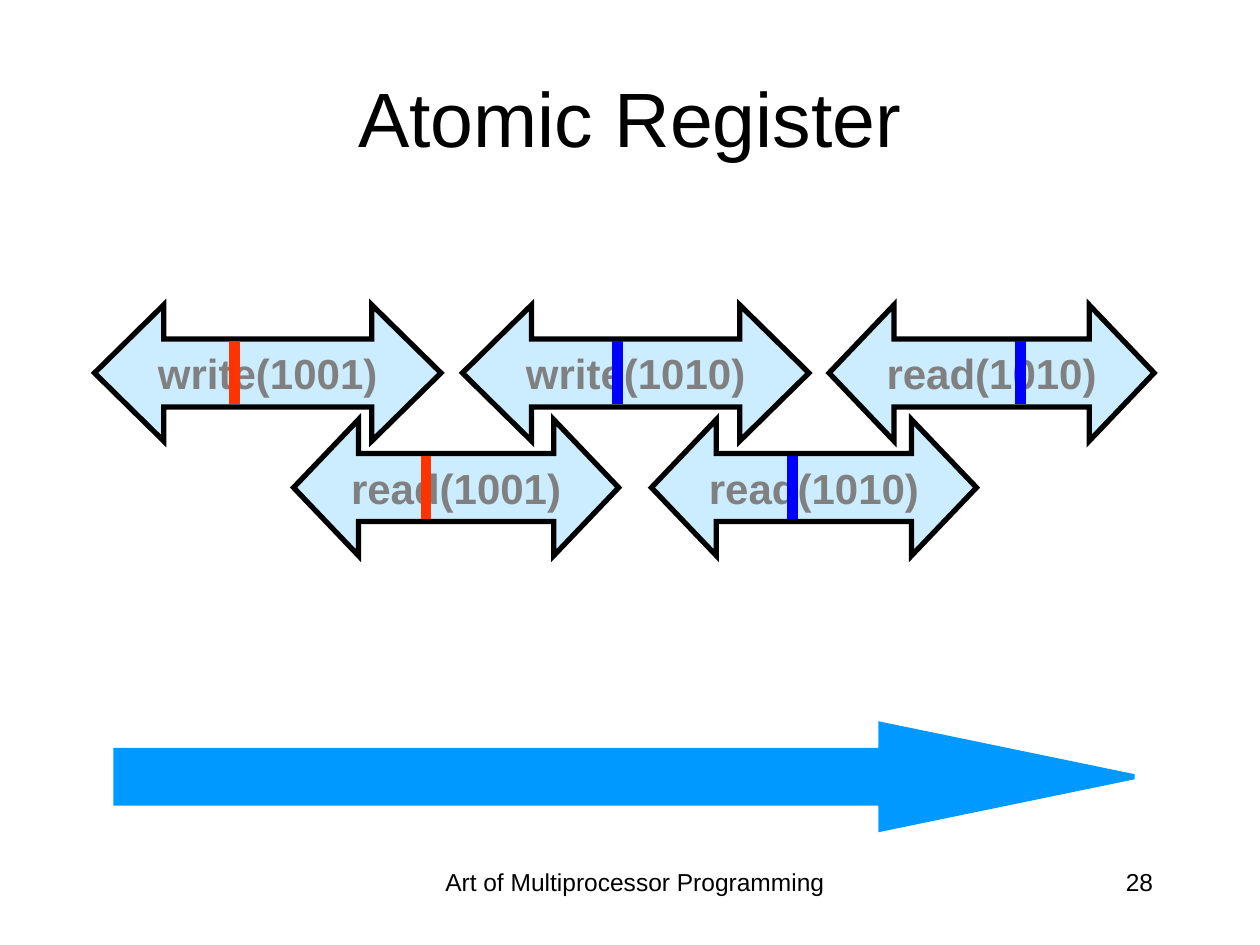
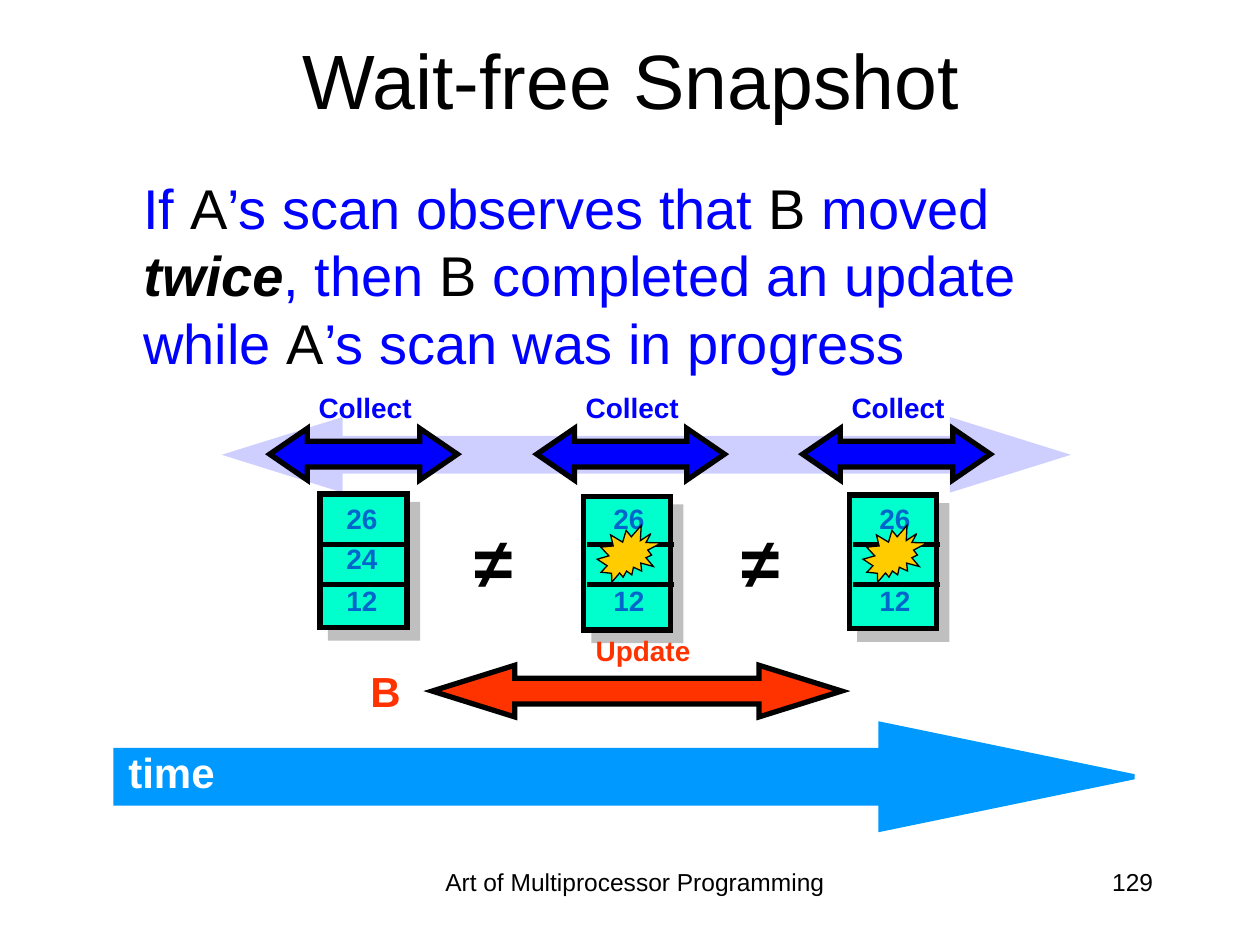
from lxml.etree import SubElement
from pptx import Presentation
from pptx.dml.color import RGBColor
from pptx.enum.shapes import MSO_CONNECTOR, MSO_SHAPE
from pptx.enum.text import MSO_ANCHOR, PP_ALIGN
from pptx.oxml.ns import qn
from pptx.util import Pt

PX = 9144
FONT = "Arial"
FOOTER = "Art of Multiprocessor Programming"
C = {
    "black": "000000",
    "white": "FFFFFF",
    "gray": "808080",
    "pale": "CCECFF",
    "sky": "0099FF",
    "blue": "0000FF",
    "red": "FF3300",
    "mint": "00FFCC",
    "number": "0066CC",
    "gold": "FFCC00",
}


def draw(s, kind, box, fill=None, line=None, width=3, adj=()):
    x, y, w, h = [v * PX for v in box]
    if kind is None:
        return s.shapes.add_textbox(x, y, w, h)
    if kind is MSO_CONNECTOR.STRAIGHT:
        sp = s.shapes.add_connector(kind, x, y, x + w, y + h)
        SubElement(sp._element.spPr, qn("a:effectLst"))
    else:
        sp = s.shapes.add_shape(kind, x, y, w, h)
        sp.shadow.inherit = False
        sp.fill.solid()
        sp.fill.fore_color.rgb = RGBColor.from_string(C[fill])
        for i, value in enumerate(adj):
            sp.adjustments[i] = value
    if line:
        sp.line.color.rgb = RGBColor.from_string(C[line])
        sp.line.width = Pt(width)
        SubElement(sp._element.spPr.find(qn("a:ln")), qn("a:miter"), lim="800000")
    else:
        sp.line.fill.background()
    return sp


def text(sp, content, size=14, color="black", bold=False, align=PP_ALIGN.LEFT,
         anchor=MSO_ANCHOR.TOP, wrap=False, spacing=None):
    tf = sp.text_frame
    tf.word_wrap = wrap
    tf.vertical_anchor = anchor
    paragraphs = [[(content, color)]] if isinstance(content, str) else content
    for i, runs in enumerate(paragraphs):
        p = tf.add_paragraph() if i else tf.paragraphs[0]
        p.alignment = align
        if spacing:
            p.line_spacing = spacing
        for words, run_color, *style in runs:
            r = p.add_run()
            r.text = words
            r.font.name = FONT
            r.font.size = Pt(size)
            r.font.bold = bold or "b" in style
            r.font.italic = "i" in style
            r.font.color.rgb = RGBColor.from_string(C[run_color])


prs = Presentation()
prs.slide_width = 1000 * PX
prs.slide_height = 750 * PX

slides = []
time_arrows = []
for title, title_box, number in [
    ("Atomic Register", (50, 30, 900, 125), "28"),
    ("Wait-free Snapshot", (76, 0, 850, 125), "129"),
]:
    s = prs.slides.add_slide(prs.slide_layouts[6])
    text(draw(s, None, title_box), title, size=44, align=PP_ALIGN.CENTER,
         anchor=MSO_ANCHOR.MIDDLE, wrap=True)
    text(draw(s, None, (333, 683, 342, 52)), FOOTER, align=PP_ALIGN.CENTER, wrap=True)
    text(draw(s, None, (717, 683, 208, 50)), number, align=PP_ALIGN.RIGHT, wrap=True)
    time_arrows.append(draw(s, MSO_SHAPE.RIGHT_ARROW, (92, 575, 808, 83), "sky", "sky",
                            adj=(0.5, 2.42)))
    slides.append(s)

register, snapshot = slides

calls = [
    ("write(1001)", 75, 242, 275, 186, "red"),
    ("read(1001)", 233, 333, 258, 338, "red"),
    ("write(1010)", 367, 242, 275, 490, "blue"),
    ("read(1010)", 517, 333, 258, 629, "blue"),
    ("read(1010)", 658, 242, 258, 810, "blue"),
]
for call, x, y, w, _, _ in calls:
    sp = draw(register, MSO_SHAPE.LEFT_RIGHT_ARROW, (x, y, w, 108), "pale", "black",
              adj=(0.5, w / 541))
    text(sp, call, size=24, color="gray", bold=True, align=PP_ALIGN.CENTER,
         anchor=MSO_ANCHOR.MIDDLE)
for _, _, y, _, point, color in calls:
    draw(register, MSO_CONNECTOR.STRAIGHT, (point, y + 29, 0, 50), line=color, width=6)

text(time_arrows[1], "time", size=24, color="white", bold=True,
     anchor=MSO_ANCHOR.MIDDLE, wrap=True, spacing=0.8)
text(draw(snapshot, None, (104, 133, 717, 172)), [
    [("If ", "blue"), ("A", "black"), ("’s scan observes that ", "blue"),
     ("B", "black"), (" moved", "blue")],
    [("twice", "black", "b", "i"), (", then ", "blue"), ("B", "black"),
     (" completed an update", "blue")],
    [("while ", "blue"), ("A", "black"), ("’s scan was in progress", "blue")],
], size=32)

scan = draw(snapshot, MSO_SHAPE.LEFT_RIGHT_ARROW, (176, 331, 674, 60), "blue",
            adj=(0.5, 1.6))
scan_color = scan._element.spPr.find(qn("a:solidFill")).find(qn("a:srgbClr"))
SubElement(scan_color, qn("a:alpha"), val="19000")

draw(snapshot, MSO_SHAPE.LEFT_RIGHT_ARROW, (343, 528, 325, 41), "red", "black",
     adj=(0.5, 1.6))
for x in (367, 579):
    text(draw(snapshot, None, (x, 407, 51, 77)), "≠", size=40, bold=True)

for dx, memory_x, memory_y, values in [
    (0, 254, 392, ("26", "24", "12")),
    (212, 463, 394, ("26", None, "12")),
    (423, 674, 393, ("26", None, "12")),
]:
    memory = draw(snapshot, MSO_SHAPE.RECTANGLE, (memory_x, memory_y, 69, 106),
                  "mint", "black")
    effects = memory._element.spPr.find(qn("a:effectLst"))
    shadow = SubElement(effects, qn("a:outerShdw"), dist=str(Pt(8.5)), dir="2700000",
                        algn="ctr", rotWithShape="0")
    shadow_color = SubElement(shadow, qn("a:srgbClr"), val=C["gray"])
    SubElement(shadow_color, qn("a:alpha"), val="50000")
    for y in (432, 464):
        draw(snapshot, MSO_CONNECTOR.STRAIGHT, (254 + dx, y, 69, 0), line="black")
    for y, value in zip((398, 430, 463), values):
        if value:
            text(draw(snapshot, None, (265 + dx, y, 45, 32)), value, size=16,
                 color="number", bold=True, spacing=0.8)
        else:
            draw(snapshot, MSO_SHAPE.EXPLOSION2, (262 + dx, 417, 51, 45), "gold",
                 "black", width=0.75)
    draw(snapshot, MSO_SHAPE.LEFT_RIGHT_ARROW, (214 + dx, 340, 149, 41), "blue", "black",
         adj=(0.5, 0.73))
    text(draw(snapshot, None, (243 + dx, 310, 95, 32)), "Collect", size=16,
         color="blue", bold=True, spacing=0.8)

for label, box, size in [("Update", (463, 503, 97, 31), 16), ("B", (284, 531, 45, 42), 24)]:
    text(draw(snapshot, None, box), label, size=size, color="red", bold=True, spacing=0.8)

prs.save("out.pptx")
